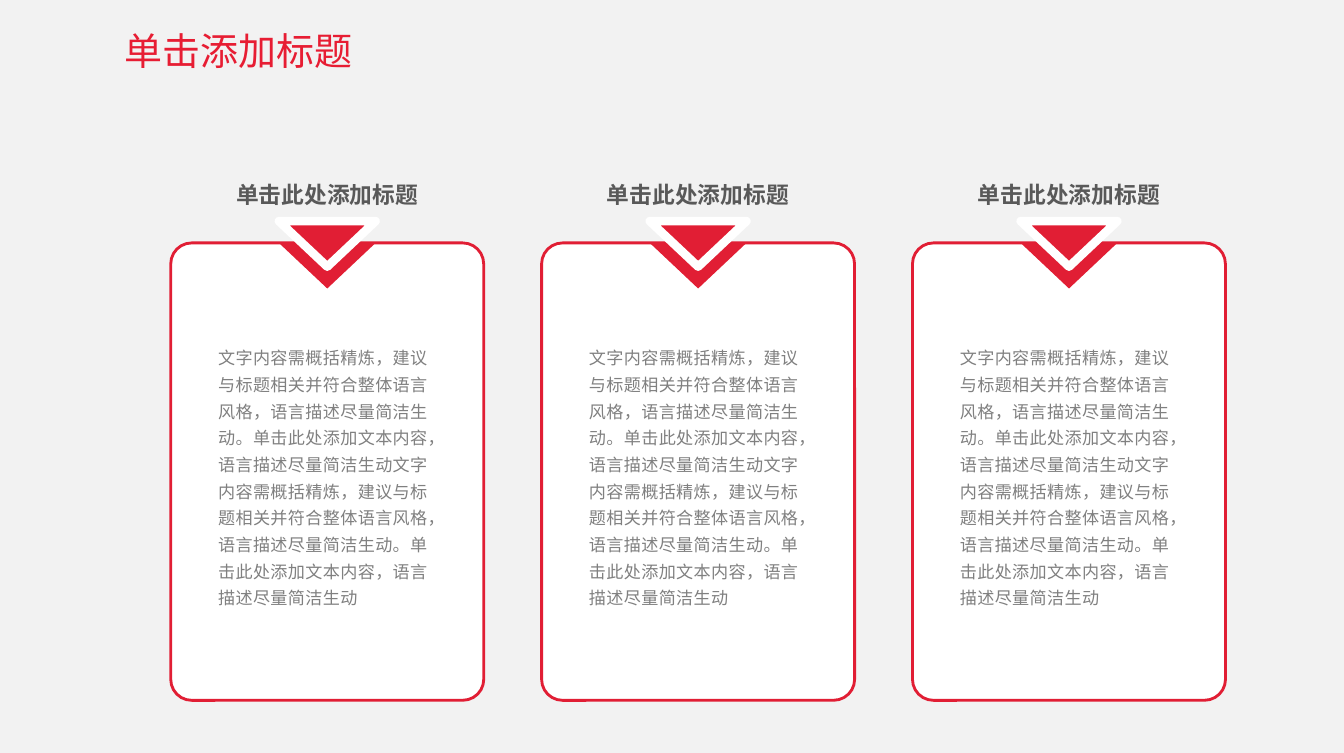
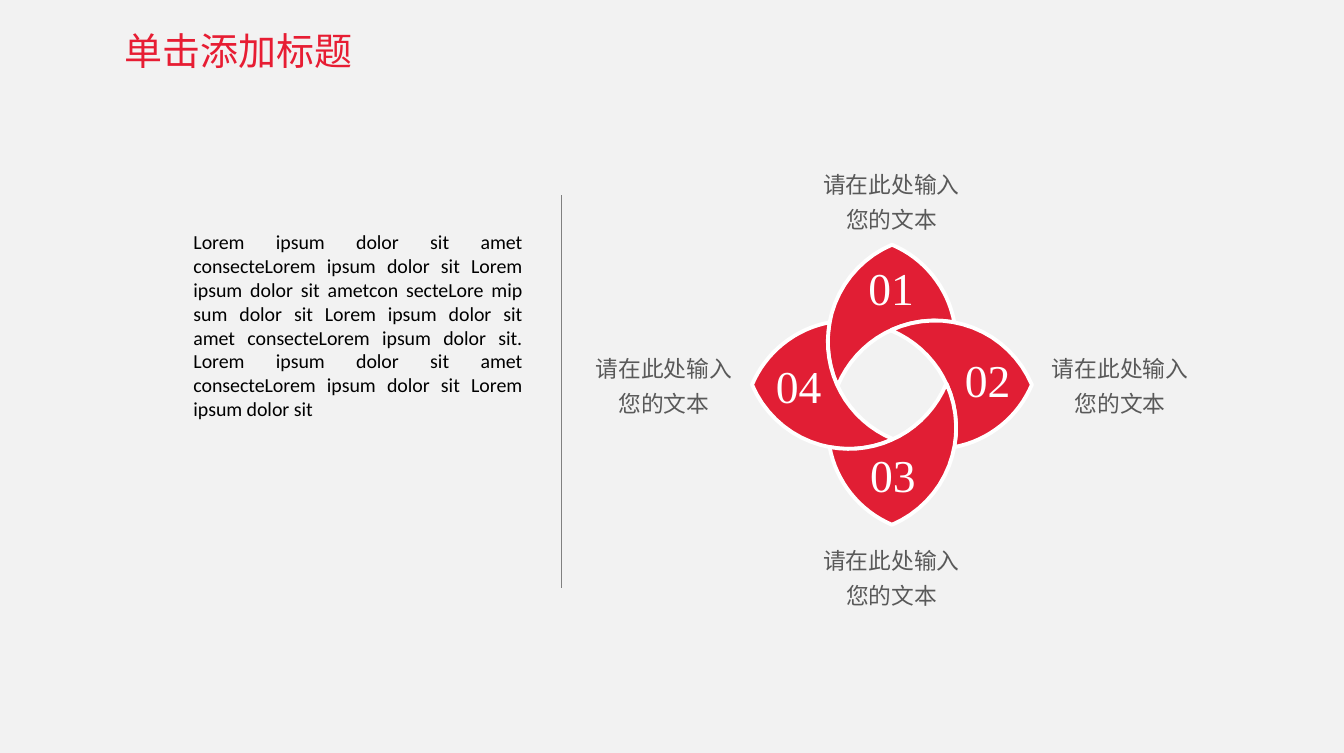
"""Build two slides: three text cards, and a four-petal diagram beside a paragraph."""
from math import cos, radians, sin

from lxml import etree
from pptx import Presentation
from pptx.dml.color import RGBColor
from pptx.enum import shapes, text
from pptx.oxml import ns
from pptx.util import Pt

RED = RGBColor(0xE1, 0x1E, 0x34)
TITLE_RED = RGBColor(0xE7, 0x1D, 0x33)
WHITE = RGBColor(0xFF, 0xFF, 0xFF)
BLACK = RGBColor(0x00, 0x00, 0x00)
BACKDROP = RGBColor(0xF2, 0xF2, 0xF2)
DARK_GREY = RGBColor(0x59, 0x59, 0x59)
GREY = RGBColor(0x80, 0x80, 0x80)

CENTER = text.PP_ALIGN.CENTER
TOP, MIDDLE, BOTTOM = text.MSO_ANCHOR.TOP, text.MSO_ANCHOR.MIDDLE, text.MSO_ANCHOR.BOTTOM
GROW = text.MSO_AUTO_SIZE.SHAPE_TO_FIT_TEXT
SIDES = ("margin_left", "margin_top", "margin_right", "margin_bottom")


def write(shape, words, color, font, paragraph, insets, **frame):
    """Put one formatted paragraph into a shape."""
    text_frame = shape.text_frame
    text_frame.text = words
    line = text_frame.paragraphs[0]
    run = line.runs[0]
    frame.update(zip(SIDES, map(Pt, insets)))
    for target, values in ((text_frame, frame), (line, paragraph), (run.font, font)):
        for key, value in values.items():
            setattr(target, key, value)
    run.font.color.rgb = color
    properties = run.font._element
    etree.SubElement(properties, ns.qn("a:ea"), typeface=font["name"])
    return properties


def paint(shape, fill, outline=None, width=0):
    """Give a shape a plain fill and, if asked for, an outline."""
    shape.shadow.inherit = False
    shape.fill.solid()
    shape.fill.fore_color.rgb = fill
    if outline is None:
        shape.line.fill.background()
    else:
        shape.line.color.rgb = outline
        shape.line.width = Pt(width)


prs = Presentation()
prs.slide_width, prs.slide_height = Pt(708.5), Pt(396.75)
prs.slide_master.background.fill.solid()
prs.slide_master.background.fill.fore_color.rgb = BACKDROP

title_only = prs.slide_layouts[5]
cards, petals = [prs.slides.add_slide(title_only) for _ in range(2)]
for slide in (cards, petals):
    title = slide.shapes.title
    title.left, title.top, title.width, title.height = map(Pt, (59.75, 11.5, 132.5, 29.5))
    write(title, "单击添加标题", TITLE_RED,
          {"name": "Noto Sans CJK SC", "size": Pt(20)}, {"alignment": CENTER},
          (6, 3, 6, 3), word_wrap=False, auto_size=GROW, vertical_anchor=TOP)

ADVICE = "文字内容需概括精炼，建议与标题相关并符合整体语言风格，语言描述尽量简洁生动。"
PROMPT = "单击此处添加文本内容，语言描述尽量简洁生动"
for column in range(3):
    left = 90 + 195.5 * column
    card = cards.shapes.add_shape(
        shapes.MSO_SHAPE.ROUNDED_RECTANGLE, Pt(left), Pt(128), Pt(165), Pt(241))
    card.adjustments[0] = 0.067
    paint(card, WHITE, RED, 1.5)

    for top, outline in ((128, None), (116.5, WHITE)):
        pointer = cards.shapes.add_shape(
            shapes.MSO_SHAPE.ISOSCELES_TRIANGLE, Pt(left + 57), Pt(top), Pt(51), Pt(24))
        pointer.rotation = 180
        paint(pointer, RED, outline, 4.5)

    heading = cards.shapes.add_textbox(Pt(left + 28.5), Pt(85), Pt(108), Pt(24))
    write(heading, "单击此处添加标题", DARK_GREY,
          {"name": "Arial", "size": Pt(12), "bold": True},
          {"alignment": CENTER, "line_spacing": 1.5},
          (5, 3, 5, 3), word_wrap=False, auto_size=GROW)

    body = cards.shapes.add_textbox(Pt(left + 20), Pt(177), Pt(126), Pt(161))
    body_properties = write(
        body, ADVICE + PROMPT + ADVICE + PROMPT, GREY, {"name": "Arial", "size": Pt(9)},
        {"line_spacing": 1.3}, (5, 3, 5, 3), word_wrap=True, auto_size=GROW)
    body_properties.set("spc", "20")

CENTER_X, CENTER_Y = 470.2, 202.7
RADIUS, NEAR, FAR, STEPS = 55.5, 21.7, 22.7, 16
ARCS = ((NEAR, -FAR, 155.4, 247), (-NEAR, -FAR, 293, 349.4), (FAR, NEAR, 280.3, 202.5))
outline_points = []
for arc_x, arc_y, start, end in ARCS:
    for step in range(STEPS + 1):
        angle = radians(start + (end - start) * step / STEPS)
        outline_points.append((arc_x + RADIUS * cos(angle), arc_y + RADIUS * sin(angle)))

PETALS = (
    ("01", 0, (0, 0, 0, 29.5)),
    ("02", 1, (27.5, 0, 0, 4.5)),
    ("04", 3, (0, 0, 25, 0)),
    ("03", 2, (0, 21, 0, 0)),
)
for number, quarter_turns, insets in PETALS:
    turned = outline_points
    for _ in range(quarter_turns):
        turned = [(-y, x) for x, y in turned]
    corners = [(Pt(CENTER_X + x), Pt(CENTER_Y + y)) for x, y in turned]
    builder = petals.shapes.build_freeform(*corners[0])
    builder.add_line_segments(corners[1:], close=True)
    petal = builder.convert_to_shape()
    paint(petal, RED, WHITE, 2)
    write(petal, number, WHITE, {"name": "Times New Roman", "size": Pt(24)},
          {"alignment": CENTER}, insets, vertical_anchor=MIDDLE)

LABELS = ((544.5, 175.75, MIDDLE), (304, 175.75, MIDDLE), (424, 77, BOTTOM), (424, 278.75, TOP))
for left, top, anchor in LABELS:
    label = petals.shapes.add_textbox(Pt(left), Pt(top), Pt(92), Pt(51))
    write(label, "请在此处输入您的文本", DARK_GREY, {"name": "Calibri", "size": Pt(12)},
          {"alignment": CENTER, "line_spacing": 1.3},
          (5, 5, 5, 5), word_wrap=True, vertical_anchor=anchor)

LOREM = ("Lorem ipsum dolor sit amet consecteLorem ipsum dolor sit Lorem ipsum dolor sit "
         "ametcon secteLore mip sum dolor sit Lorem ipsum dolor sit amet consecteLorem ipsum "
         "dolor sit. Lorem ipsum dolor sit amet consecteLorem ipsum dolor sit Lorem ipsum "
         "dolor sit")
paragraph_box = petals.shapes.add_textbox(Pt(97), Pt(118), Pt(183.5), Pt(191.5))
write(paragraph_box, LOREM, BLACK, {"name": "Calibri", "size": Pt(10.5)},
      {"alignment": text.PP_ALIGN.JUSTIFY}, (5, 3, 5, 3), word_wrap=True)

divider = petals.shapes.add_connector(
    shapes.MSO_CONNECTOR.STRAIGHT, Pt(296), Pt(103), Pt(296), Pt(310))
divider.line.color.rgb = GREY
divider.line.width = Pt(0.75)
etree.SubElement(divider._element.spPr, ns.qn("a:effectLst"))

prs.save("out.pptx")
